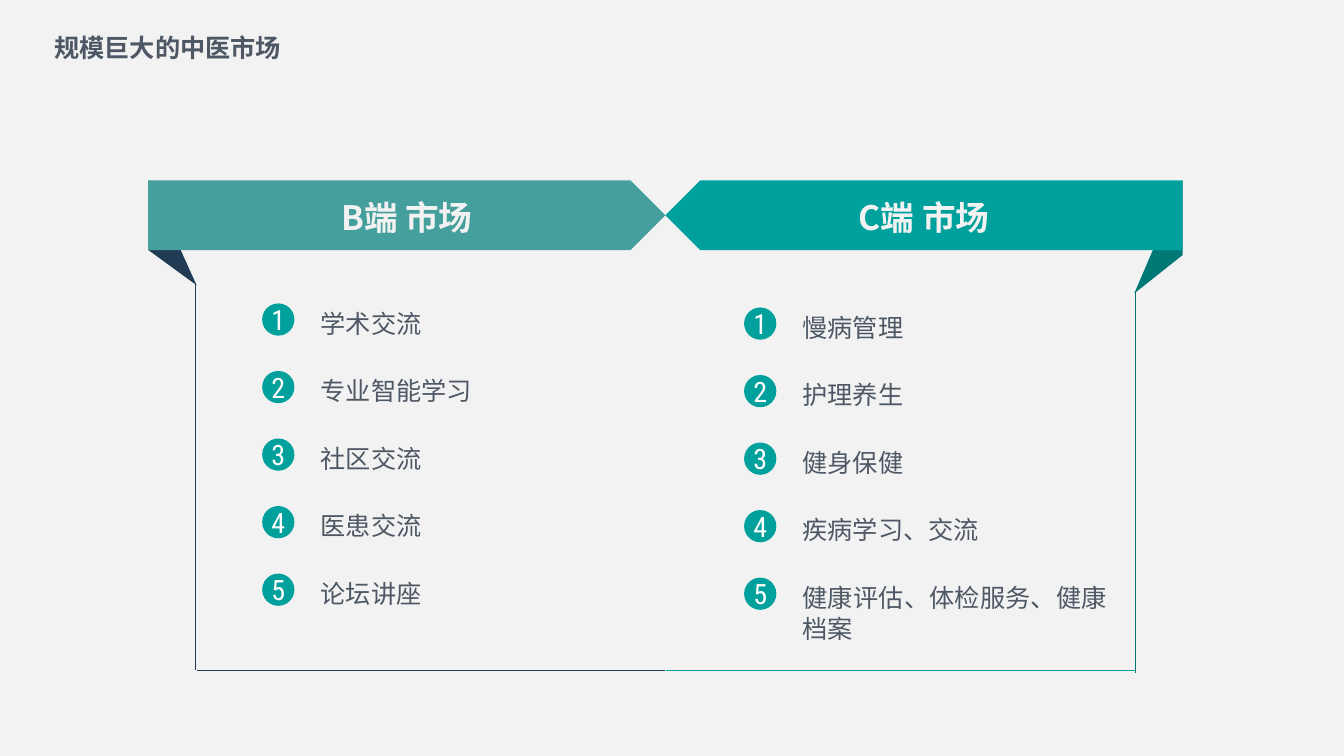
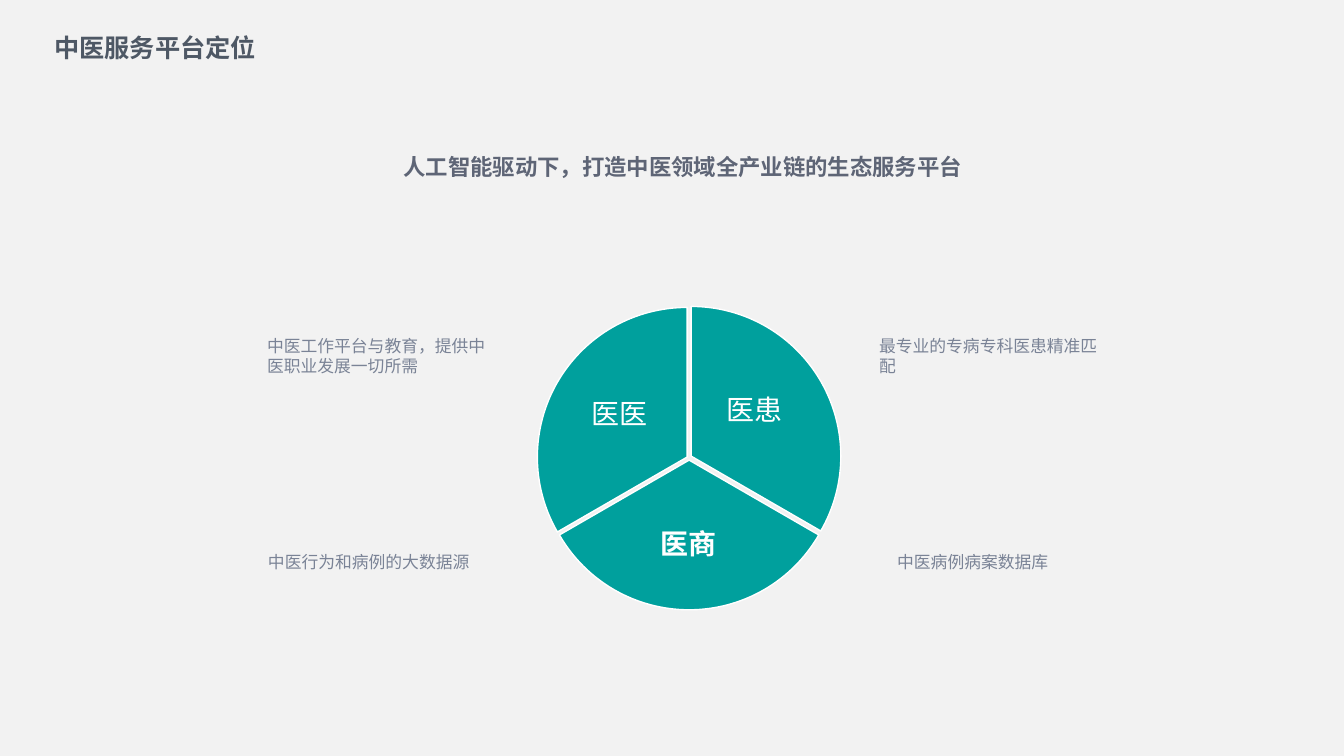
from dataclasses import dataclass

from lxml.etree import SubElement
from pptx import Presentation
from pptx.dml.color import RGBColor
from pptx.enum.shapes import MSO_CONNECTOR as Connector, MSO_SHAPE as Preset
from pptx.enum.text import MSO_ANCHOR as Anchor, MSO_AUTO_SIZE as AutoSize, PP_ALIGN as Align
from pptx.oxml.ns import qn
from pptx.shapes.autoshape import Shape
from pptx.slide import Slide
from pptx.util import Emu, Pt

EMU_PER_PX = 9144
CJK_FONT = "Noto Sans CJK SC"


@dataclass(frozen=True)
class TextStyle:
    size: int
    color: str
    font: str = CJK_FONT
    bold: bool = False
    align: Align = Align.LEFT
    line_spacing: Pt | float | None = None


@dataclass(frozen=True)
class Theme:
    background: str = "F2F2F2"
    white: str = "FFFFFF"
    teal: str = "00A09D"
    soft_teal: str = "459F9C"
    dark_teal: str = "007876"
    navy: str = "213B55"
    title: TextStyle = TextStyle(18, "4E5865", "Arial", True)
    banner: TextStyle = TextStyle(24, "F2F2F2", bold=True, align=Align.CENTER)
    badge: TextStyle = TextStyle(20, "FFFFFF", "Roboto Condensed", align=Align.CENTER)
    item: TextStyle = TextStyle(18, "4E5865", align=Align.JUSTIFY, line_spacing=Pt(22))
    headline: TextStyle = TextStyle(16, "5E6576", bold=True, align=Align.CENTER)
    note: TextStyle = TextStyle(12, "7A8396")
    sector: TextStyle = TextStyle(20, "FFFFFF", align=Align.CENTER, line_spacing=0.9)
    strong_sector: TextStyle = TextStyle(20, "FFFFFF", bold=True, align=Align.CENTER, line_spacing=0.9)


THEME = Theme()


@dataclass(frozen=True)
class Box:
    left: int
    top: int
    width: int
    height: int

    def emu(self) -> tuple[Emu, ...]:
        return tuple(map(px, (self.left, self.top, self.width, self.height)))


@dataclass(frozen=True)
class Rule:
    start: tuple[int, int]
    end: tuple[int, int]
    color: str


@dataclass(frozen=True)
class Market:
    name: str
    banner_left: int
    flipped: bool
    banner_color: str
    fold: tuple[tuple[int, int], ...]
    fold_color: str
    rules: tuple[Rule, ...]
    list_left: int
    list_top: int
    items: tuple[str, ...]


@dataclass(frozen=True)
class Sector:
    label: str
    style: TextStyle
    pie_left: int
    pie_top: int
    start_degrees: int
    end_degrees: int
    label_box: Box


@dataclass(frozen=True)
class Note:
    text: str
    box: Box


MARKETS = (
    Market("B端 市场", 147, False, THEME.soft_teal,
           ((148, 179), (195, 283), (147, 248)), THEME.navy,
           (Rule((194, 282), (194, 665), THEME.navy),
            Rule((195, 665), (660, 665), THEME.navy)),
           260, 301,
           ("学术交流", "专业智能学习", "社区交流", "医患交流", "论坛讲座")),
    Market("C端 市场", 660, True, THEME.teal,
           ((1173, 179), (1125, 291), (1173, 253)), THEME.dark_teal,
           (Rule((1126, 290), (1126, 668), THEME.dark_teal),
            Rule((661, 665), (1126, 665), THEME.teal)),
           738, 305,
           ("慢病管理", "护理养生", "健身保健", "疾病学习、交流", "健康评估、体检服务、健康档案")),
)

SECTORS = (
    Sector("医患", THEME.sector, 537, 304, 270, 30, Box(698, 359, 101, 99)),
    Sector("医商", THEME.strong_sector, 535, 308, 30, 150, Box(616, 495, 134, 92)),
    Sector("医医", THEME.sector, 533, 305, 150, 270, Box(564, 363, 101, 99)),
)

NOTES = (
    Note("中医工作平台与教育，提供中医职业发展一切所需", Box(255, 328, 239, 50)),
    Note("中医行为和病例的大数据源", Box(256, 542, 226, 30)),
    Note("最专业的专病专科医患精准匹配", Box(862, 328, 238, 50)),
    Note("中医病例病案数据库", Box(880, 542, 253, 30)),
)


def px(length: int) -> Emu:
    return Emu(length * EMU_PER_PX)


def rgb(color: str) -> RGBColor:
    return RGBColor.from_string(color)


def write_text(shape: Shape, text: str, style: TextStyle, inset: int | None = None) -> None:
    text_frame = shape.text_frame
    text_frame.text = text
    if inset is not None:
        text_frame.margin_left = text_frame.margin_right = px(inset)
        text_frame.margin_top = text_frame.margin_bottom = px(inset)
    paragraph = text_frame.paragraphs[0]
    paragraph.alignment = style.align
    if style.line_spacing is not None:
        paragraph.line_spacing = style.line_spacing
    for run in paragraph.runs:
        run.font.size = Pt(style.size)
        run.font.bold = style.bold
        run.font.color.rgb = rgb(style.color)
        run.font.name = style.font
        SubElement(run.font._element, qn("a:ea"), typeface=CJK_FONT)


def add_text(slide: Slide, box: Box, text: str, style: TextStyle, inset: int | None = None,
             wrap: bool = True) -> Shape:
    shape = slide.shapes.add_textbox(*box.emu())
    write_text(shape, text, style, inset)
    shape.text_frame.word_wrap = wrap
    shape.text_frame.auto_size = AutoSize.SHAPE_TO_FIT_TEXT
    return shape


def paint(shape: Shape, color: str) -> None:
    shape.shadow.inherit = False
    shape.fill.solid()
    shape.fill.fore_color.rgb = rgb(color)
    shape.line.fill.background()


def add_preset(slide: Slide, preset: Preset, box: Box, color: str) -> Shape:
    shape = slide.shapes.add_shape(preset, *box.emu())
    paint(shape, color)
    return shape


def add_rule(slide: Slide, rule: Rule) -> None:
    connector = slide.shapes.add_connector(
        Connector.STRAIGHT, *map(px, (*rule.start, *rule.end)))
    connector.line.color.rgb = rgb(rule.color)
    connector.line.width = Pt(0.5)
    SubElement(connector._element.spPr, qn("a:effectLst"))


def add_market(slide: Slide, market: Market) -> None:
    builder = slide.shapes.build_freeform(*market.fold[0], scale=EMU_PER_PX)
    builder.add_line_segments(market.fold[1:], close=True)
    paint(builder.convert_to_shape(), market.fold_color)

    banner = add_preset(slide, Preset.PENTAGON, Box(market.banner_left, 179, 513, 69),
                        market.banner_color)
    if market.flipped:
        banner._element.spPr.xfrm.set("flipH", "1")
    add_text(slide, Box(market.banner_left + 169, 190, 175, 50), market.name, THEME.banner)

    for rule in market.rules:
        add_rule(slide, rule)

    for index, item in enumerate(market.items):
        top = market.list_top + 67 * index
        badge = add_preset(slide, Preset.OVAL, Box(market.list_left, top, 32, 32), THEME.teal)
        write_text(badge, str(index + 1), THEME.badge, inset=0)
        badge.text_frame.word_wrap = False
        badge.text_frame.vertical_anchor = Anchor.MIDDLE
        add_text(slide, Box(market.list_left + 58, top + 4, 302, 25), item, THEME.item, inset=0)


def add_sector(slide: Slide, sector: Sector) -> None:
    pie = add_preset(slide, Preset.PIE, Box(sector.pie_left, sector.pie_top, 297, 297), THEME.teal)
    pie.adjustments[0] = sector.start_degrees * 0.6
    pie.adjustments[1] = sector.end_degrees * 0.6
    pie.line.color.rgb = rgb(THEME.white)
    pie.line.width = Pt(1)
    label = add_text(slide, sector.label_box, sector.label, sector.style, inset=3)
    label.text_frame.auto_size = AutoSize.NONE
    label.text_frame.vertical_anchor = Anchor.MIDDLE


def add_titled_slide(presentation: Presentation, title: str) -> Slide:
    slide = presentation.slides.add_slide(presentation.slide_layouts[6])
    add_text(slide, Box(44, 27, 28 * len(title), 40), title, THEME.title, wrap=False)
    return slide


def main() -> None:
    presentation = Presentation()
    presentation.slide_width = px(1333)
    presentation.slide_height = px(750)
    background = presentation.slide_master.background.fill
    background.solid()
    background.fore_color.rgb = rgb(THEME.background)

    market_slide = add_titled_slide(presentation, "规模巨大的中医市场")
    for market in MARKETS:
        add_market(market_slide, market)

    platform_slide = add_titled_slide(presentation, "中医服务平台定位")
    add_text(platform_slide, Box(186, 147, 983, 37),
             "人工智能驱动下，打造中医领域全产业链的生态服务平台", THEME.headline)
    for sector in SECTORS:
        add_sector(platform_slide, sector)
    for note in NOTES:
        add_text(platform_slide, note.box, note.text, THEME.note)

    presentation.save("out.pptx")


if __name__ == "__main__":
    main()
